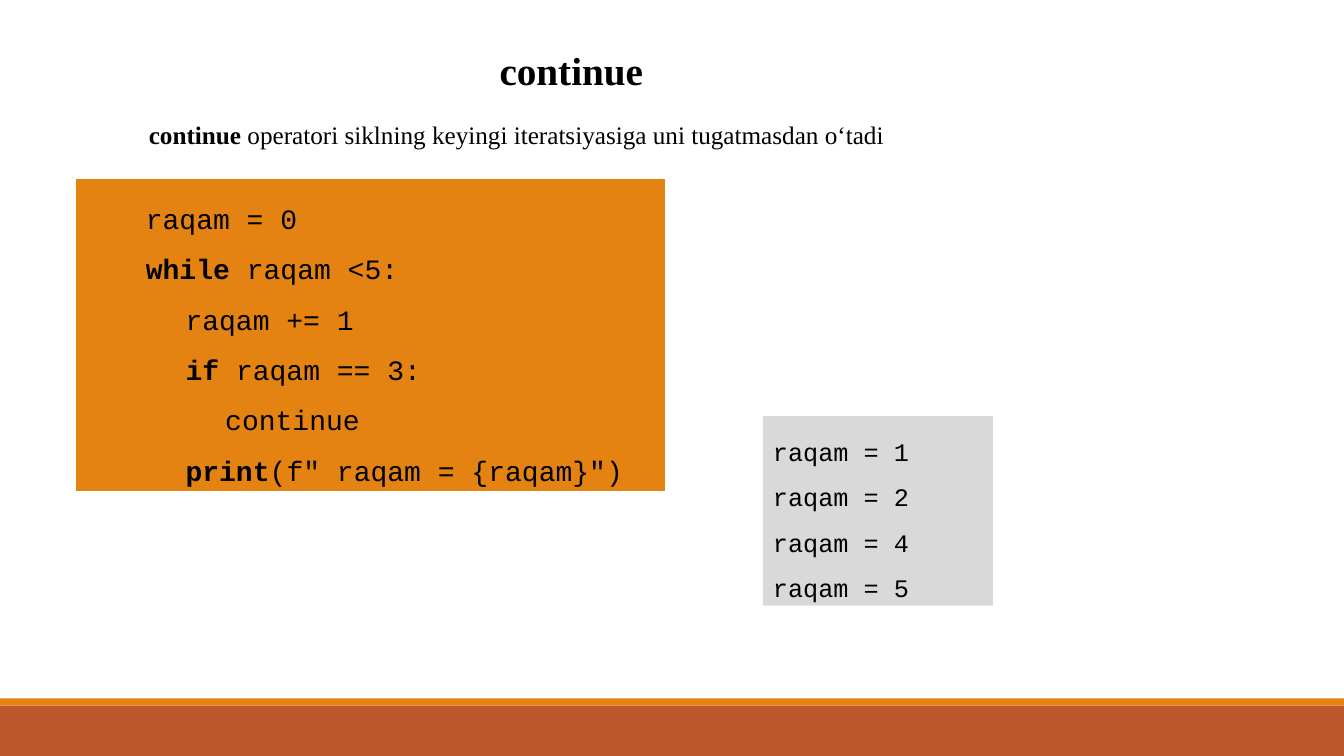
from dataclasses import dataclass

from pptx import Presentation
from pptx.dml.color import RGBColor
from pptx.enum.shapes import MSO_SHAPE
from pptx.enum.text import MSO_ANCHOR, MSO_AUTO_SIZE, PP_ALIGN
from pptx.util import Pt


@dataclass(frozen=True)
class Theme:
    ink: RGBColor = RGBColor(0x00, 0x00, 0x00)
    orange: RGBColor = RGBColor(0xE4, 0x83, 0x12)
    rust: RGBColor = RGBColor(0xBD, 0x58, 0x2C)
    grey: RGBColor = RGBColor(0xD9, 0xD9, 0xD9)
    prose: str = "Times New Roman"
    mono: str = "Courier New"
    title_size: int = 28
    code_size: int = 20
    text_size: int = 18
    code_spacing: float = 1.5


THEME = Theme()
SLIDE_WIDTH, SLIDE_HEIGHT = 960, 540
FIRST_INDENT, INDENT_STEP = 42.5, 28.35

PROGRAM = [
    (0, "", "raqam = 0"),
    (0, "while ", "raqam <5:"),
    (1, "", "raqam += 1"),
    (1, "if ", "raqam == 3:"),
    (2, "", "continue"),
    (1, "print", '(f" raqam = {raqam}")'),
]
PRINTED_NUMBERS = [1, 2, 4, 5]


def style(paragraph, face, size):
    paragraph.alignment = PP_ALIGN.LEFT
    paragraph.font.name = face
    paragraph.font.size = Pt(size)
    paragraph.font.color.rgb = THEME.ink


def write_line(paragraph, keyword, rest, face, size):
    if keyword:
        paragraph.add_run().text = keyword
        paragraph.runs[0].font.bold = True
    paragraph.add_run().text = rest
    style(paragraph, face, size)


def add_band(slide, top, height, color):
    band = slide.shapes.add_shape(
        MSO_SHAPE.RECTANGLE, Pt(0), Pt(top), Pt(SLIDE_WIDTH), Pt(height))
    band.shadow.inherit = False
    band.fill.solid()
    band.fill.fore_color.rgb = color
    band.line.fill.background()


def add_title(slide, text, left, top, width, height):
    title = slide.shapes.title
    title.left, title.top = Pt(left), Pt(top)
    title.width, title.height = Pt(width), Pt(height)
    frame = title.text_frame
    frame.text = text
    frame.word_wrap = False
    frame.auto_size = MSO_AUTO_SIZE.SHAPE_TO_FIT_TEXT
    frame.vertical_anchor = MSO_ANCHOR.TOP
    style(frame.paragraphs[0], THEME.prose, THEME.title_size)
    frame.paragraphs[0].font.bold = True


def add_text(slide, left, top, width, height):
    box = slide.shapes.add_textbox(Pt(left), Pt(top), Pt(width), Pt(height))
    box.text_frame.word_wrap = True
    box.text_frame.auto_size = MSO_AUTO_SIZE.SHAPE_TO_FIT_TEXT
    return box


def add_code(slide, lines, left, top, width, height, fill, size):
    panel = add_text(slide, left, top, width, height)
    panel.fill.solid()
    panel.fill.fore_color.rgb = fill
    frame = panel.text_frame
    for number, (indent, keyword, rest) in enumerate(lines):
        paragraph = frame.add_paragraph() if number else frame.paragraphs[0]
        write_line(paragraph, keyword, rest, THEME.mono, size)
        paragraph.line_spacing = THEME.code_spacing
        properties = paragraph._p.get_or_add_pPr()
        properties.set("marL", "0")
        properties.set("indent", str(Pt(indent)))
    return panel


def main():
    presentation = Presentation()
    presentation.slide_width = Pt(SLIDE_WIDTH)
    presentation.slide_height = Pt(SLIDE_HEIGHT)
    slide = presentation.slides.add_slide(presentation.slide_layouts[5])

    add_band(slide, 504, 36, THEME.rust)
    add_band(slide, 498.8, 5.2, THEME.orange)

    add_title(slide, "continue", 349.6, 29.5, 125.3, 41)
    explanation = add_text(slide, 99.2, 81.4, 678, 29)
    write_line(
        explanation.text_frame.paragraphs[0], "continue ",
        "operatori siklning keyingi iteratsiyasiga uni tugatmasdan o‘tadi",
        THEME.prose, THEME.text_size)

    program_lines = [(FIRST_INDENT + level * INDENT_STEP, keyword, rest)
                     for level, keyword, rest in PROGRAM]
    program = add_code(slide, program_lines, 54.6, 128.2, 420, 222.5,
                       THEME.orange, THEME.code_size)
    program.line.color.rgb = THEME.orange
    program.line.width = Pt(0.75)

    output_lines = [(0, "", f"raqam = {number}") for number in PRINTED_NUMBERS]
    add_code(slide, output_lines, 545, 297.2, 164.2, 135.4,
             THEME.grey, THEME.text_size)

    presentation.save("out.pptx")


if __name__ == "__main__":
    main()
